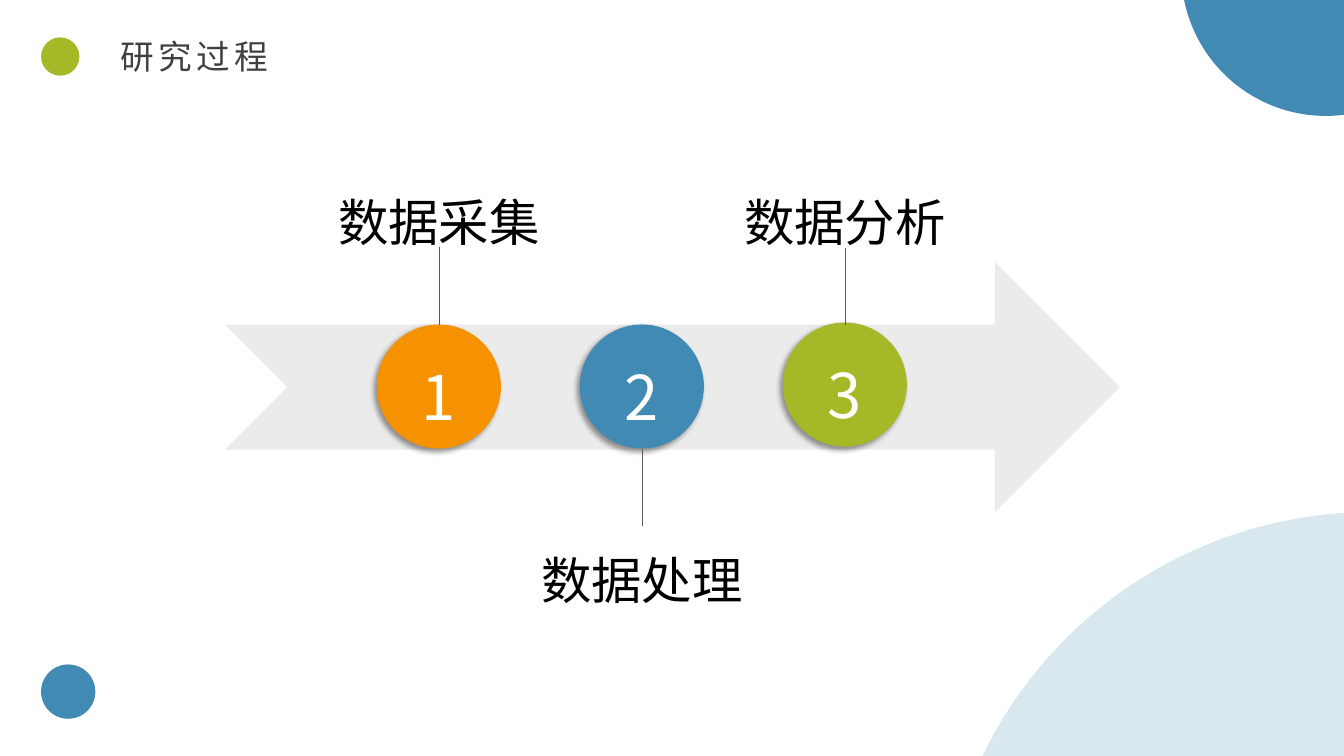
from lxml.etree import SubElement
from pptx import Presentation
from pptx.dml.color import RGBColor
from pptx.enum.shapes import MSO_CONNECTOR, MSO_SHAPE
from pptx.enum.text import MSO_ANCHOR, PP_ALIGN
from pptx.oxml.ns import qn
from pptx.util import Pt

FONT = "Noto Sans CJK SC"
BLUE, GREEN, ORANGE = "418AB3", "A6B727", "F69200"

presentation = Presentation()
presentation.slide_width, presentation.slide_height = Pt(960), Pt(540)
slide = presentation.slides.add_slide(presentation.slide_layouts[5])
shapes = slide.shapes


def add_filled(preset, left, top, width, height, color, opacity=100):
    """Add a borderless, shadowless shape; opacity is in percent."""
    filled = shapes.add_shape(preset, Pt(left), Pt(top), Pt(width), Pt(height))
    filled.shadow.inherit = False
    filled.line.fill.background()
    filled.fill.solid()
    filled.fill.fore_color.rgb = RGBColor.from_string(color)
    if opacity < 100:
        srgb = filled.fill._xPr.find(qn("a:solidFill"))[0]
        SubElement(srgb, qn("a:alpha"), val=str(opacity * 1000))
    return filled


def write(frame, text, size, color, align):
    frame.text = text
    paragraph = frame.paragraphs[0]
    paragraph.alignment = align
    run = paragraph.runs[0]
    run.font.size = Pt(size)
    run.font.name = FONT
    run.font.color.rgb = RGBColor.from_string(color)
    SubElement(run.font._element, qn("a:ea"), typeface=FONT)
    return paragraph


# Corner decoration: left, top, diameter, colour, opacity
for left, top, diameter, color, opacity in [
    (671, 365.8, 617, BLUE, 20),
    (843.8, -123.8, 206.6, BLUE, 100),
    (29.3, 474.6, 38.8, BLUE, 100),
    (29.3, 26.7, 27.4, GREEN, 100),
]:
    add_filled(MSO_SHAPE.FLOWCHART_CONNECTOR, left, top, diameter, diameter, color, opacity)

title = shapes.title
title.left, title.top, title.width, title.height = Pt(79.2), Pt(22.3), Pt(123), Pt(36)
title.text_frame.word_wrap = False
title.text_frame.vertical_anchor = MSO_ANCHOR.MIDDLE
heading = write(title.text_frame, "研究过程", 24, "404040", PP_ALIGN.LEFT)
heading.runs[0].font._element.set("spc", "300")

add_filled(MSO_SHAPE.NOTCHED_RIGHT_ARROW, 160.6, 187.2, 639.4, 178.6, "D9D9D9", 50)

# Steps along the arrow: label, colour, circle top, label top, line top
STEPS = [
    ("数据采集", ORANGE, 231.8, 111.6, 176.4),
    ("数据处理", BLUE, 231.8, 367.2, 320.4),
    ("数据分析", GREEN, 230.4, 111.6, 177.1),
]
FIRST_CENTER, STEP_PITCH = 313.5, 145
CIRCLE, LABEL_WIDTH, LINE_LENGTH = 88.6, 180, 55.4

for number, (label, color, circle_top, label_top, line_top) in enumerate(STEPS, 1):
    center = FIRST_CENTER + (number - 1) * STEP_PITCH

    circle = add_filled(MSO_SHAPE.OVAL, center - CIRCLE / 2, circle_top, CIRCLE, CIRCLE, color)
    effects = circle._element.spPr.find(qn("a:effectLst"))
    shadow = SubElement(effects, qn("a:outerShdw"), blurRad=str(Pt(4)), dist=str(Pt(3)),
                        dir="8100000", algn="tr", rotWithShape="0")
    shadow_color = SubElement(shadow, qn("a:srgbClr"), val="000000")
    SubElement(shadow_color, qn("a:alpha"), val="40000")
    digit = circle.text_frame
    digit.word_wrap = False
    digit.vertical_anchor = MSO_ANCHOR.MIDDLE
    digit.margin_left = digit.margin_right = digit.margin_bottom = 0
    digit.margin_top = Pt(14)
    write(digit, str(number), 44, "FFFFFF", PP_ALIGN.CENTER)

    leader = shapes.add_connector(MSO_CONNECTOR.STRAIGHT, Pt(center), Pt(line_top),
                                  Pt(center), Pt(line_top + LINE_LENGTH))
    leader.line.width = Pt(0.5)
    leader.line.color.rgb = RGBColor.from_string("595959")
    SubElement(leader._element.spPr, qn("a:effectLst"))

    caption = shapes.add_textbox(Pt(center - LABEL_WIDTH / 2), Pt(label_top),
                                 Pt(LABEL_WIDTH), Pt(64.8)).text_frame
    caption.word_wrap = True
    write(caption, label, 36, "000000", PP_ALIGN.CENTER).line_spacing = 1.5

presentation.save("out.pptx")
